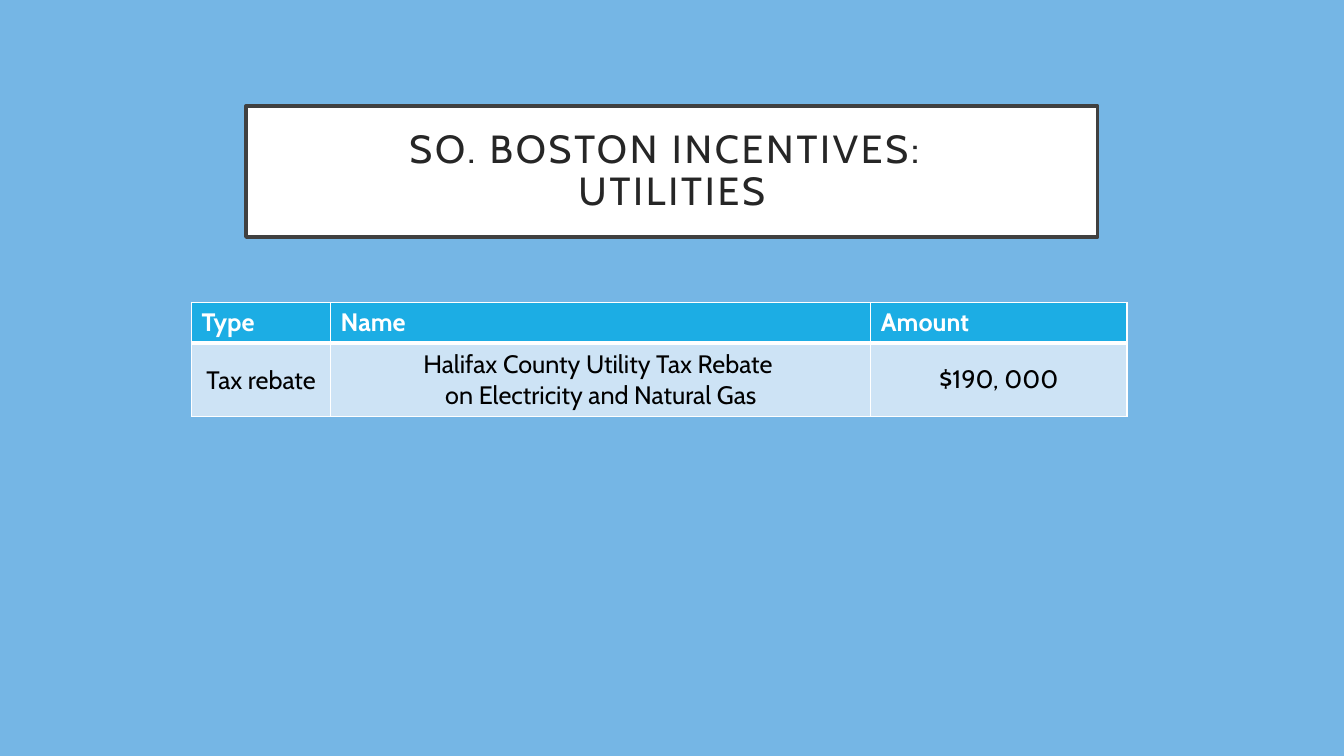
from lxml.etree import SubElement
from pptx import Presentation
from pptx.dml.color import RGBColor
from pptx.enum.shapes import MSO_SHAPE
from pptx.enum.text import MSO_ANCHOR, PP_ALIGN
from pptx.oxml.ns import qn
from pptx.util import Pt

TITLE = "SO. BOSTON INCENTIVES: \vUTILITIES"
HEADER = ["Type", "Name", "Amount"]
REBATE = ["Tax rebate",
          "Halifax County Utility Tax Rebate \non Electricity and Natural Gas",
          "$190, 000"]
COLUMN_WIDTHS = [99.4, 385.9, 182.9]
ROW_HEIGHTS = [29.2, 52.3]
ROW_STYLES = [
    dict(fill="1CADE4", color="FFFFFF", bold=True, align=PP_ALIGN.LEFT,
         anchor=MSO_ANCHOR.TOP, borders=dict(lnL=1, lnR=1, lnT=1, lnB=3)),
    dict(fill="CDE3F5", color="000000", bold=False, align=PP_ALIGN.CENTER,
         anchor=MSO_ANCHOR.MIDDLE, borders=dict(lnL=1, lnR=1, lnT=3, lnB=1)),
]


def rgb(color):
    return RGBColor.from_string(color)


def set_attributes(target, values):
    for name, value in values.items():
        setattr(target, name, value)


def paint(fill, color):
    fill.solid()
    fill.fore_color.rgb = rgb(color)


def format_run(r, size, color, bold=False):
    set_attributes(r.font, dict(name="Cabin", size=Pt(size), bold=bold))
    r.font.color.rgb = rgb(color)


def add_title(s, left, top, width, height):
    sp = s.shapes.add_shape(MSO_SHAPE.RECTANGLE, Pt(left), Pt(top), Pt(width), Pt(height))
    sp.shadow.inherit = False
    paint(sp.fill, "FFFFFF")
    paint(sp.line.fill, "404040")
    sp.line.width = Pt(2.5)
    tf = sp.text_frame
    insets = {f"margin_{side}": Pt(14.4) for side in ("left", "right", "top", "bottom")}
    set_attributes(tf, dict(insets, word_wrap=True, vertical_anchor=MSO_ANCHOR.MIDDLE))
    p = tf.paragraphs[0]
    p.text = TITLE
    set_attributes(p, dict(alignment=PP_ALIGN.CENTER, line_spacing=0.9))
    for r in p.runs:
        format_run(r, 28, "262626")
        r.font._element.set("spc", "200")


def add_borders(cell, widths):
    tc_pr = cell._tc.get_or_add_tcPr()
    for tag, width in widths.items():
        ln = SubElement(tc_pr, qn(f"a:{tag}"), w=str(Pt(width)))
        fill = SubElement(ln, qn("a:solidFill"))
        SubElement(fill, qn("a:srgbClr"), val="FFFFFF")


def fill_cell(cell, text, style):
    add_borders(cell, style["borders"])
    paint(cell.fill, style["fill"])
    cell.vertical_anchor = style["anchor"]
    cell.text = text
    for p in cell.text_frame.paragraphs:
        p.alignment = style["align"]
        for r in p.runs:
            format_run(r, 18, style["color"], style["bold"])


def add_incentives_table(s, left, top):
    rows = [HEADER, REBATE]
    table = s.shapes.add_table(len(rows), len(HEADER), Pt(left), Pt(top),
                               Pt(sum(COLUMN_WIDTHS)), Pt(sum(ROW_HEIGHTS))).table
    set_attributes(table, dict(first_row=False, horz_banding=False))
    for column, width in zip(table.columns, COLUMN_WIDTHS):
        column.width = Pt(width)
    for i, (texts, height, style) in enumerate(zip(rows, ROW_HEIGHTS, ROW_STYLES)):
        table.rows[i].height = Pt(height)
        for j, text in enumerate(texts):
            fill_cell(table.cell(i, j), text, style)
    set_attributes(table.cell(1, 0), dict(margin_left=Pt(0.7), margin_right=Pt(0.7),
                                          margin_top=Pt(0.7), margin_bottom=Pt(0)))


def main():
    prs = Presentation()
    set_attributes(prs, dict(slide_width=Pt(960), slide_height=Pt(540)))
    s = prs.slides.add_slide(prs.slide_layouts[6])
    paint(s.background.fill, "75B6E5")
    add_incentives_table(s, 136.8, 216)
    add_title(s, 175.7, 75.8, 608.4, 93.6)
    prs.save("out.pptx")


if __name__ == "__main__":
    main()
